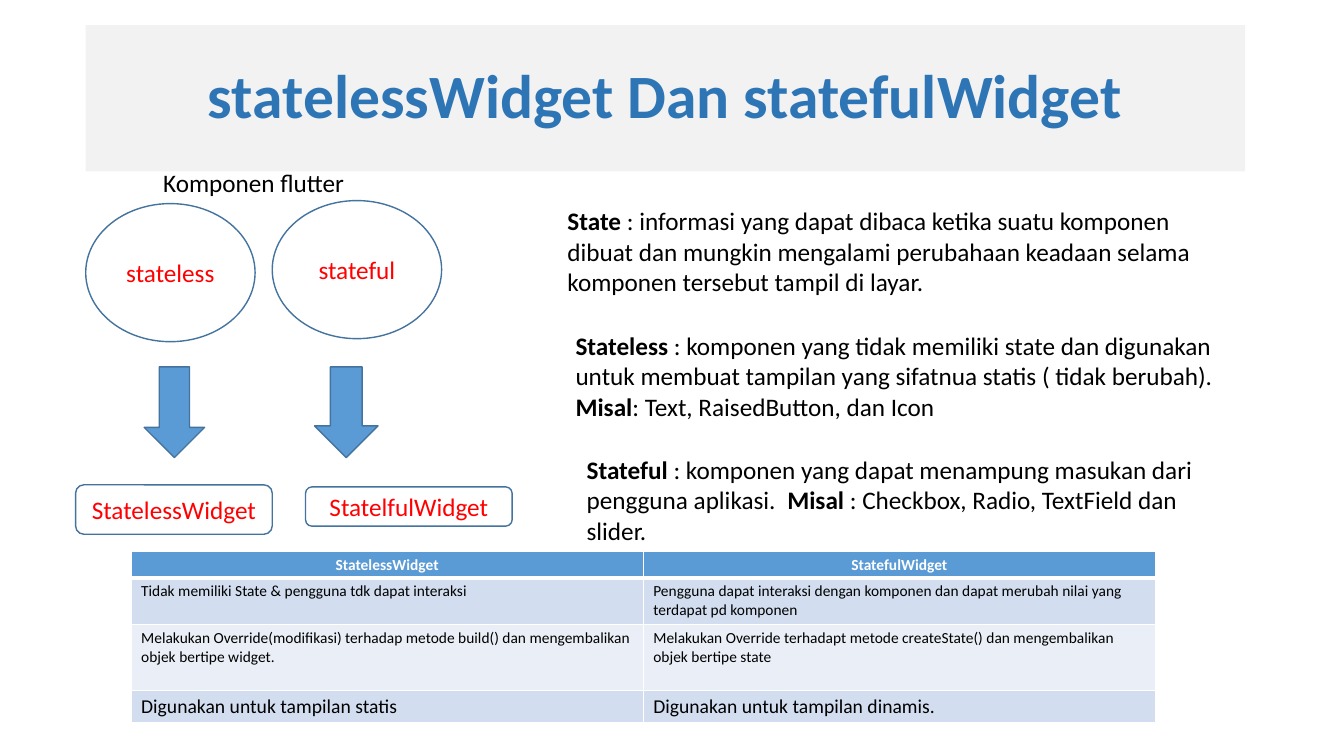
from pptx import Presentation
from pptx.dml.color import RGBColor
from pptx.enum.shapes import MSO_SHAPE
from pptx.enum.text import MSO_ANCHOR, MSO_AUTO_SIZE, PP_ALIGN
from pptx.oxml import parse_xml
from pptx.oxml.ns import nsdecls
from pptx.util import Inches, Pt

BLUE, EDGE, RED, BLACK, WHITE = "5B9BD5", "43739E", "FF0000", "000000", "FFFFFF"
BANDS = [BLUE, "D2DEEF", "EAEFF7", "D2DEEF"]
SIZES = [11, 11, 11, 14]
ROWS = [0.26, 0.46, 0.66, 0.32]

NODES = [
    (MSO_SHAPE.OVAL, (2.7, 1.99, 1.68, 1.37), "stateful"),
    (MSO_SHAPE.OVAL, (0.85, 2.02, 1.68, 1.37), "stateless"),
    (MSO_SHAPE.ROUNDED_RECTANGLE, (0.75, 4.81, 1.95, 0.49), "StatelessWidget"),
    (MSO_SHAPE.ROUNDED_RECTANGLE, (3.03, 4.83, 2.05, 0.39), "StatelfulWidget"),
]
ARROWS = [(1.43, 3.64, 0.6, 0.9), (3.12, 3.64, 0.63, 0.9)]
NOTES = [
    ((5.53, 1.99, 6.82, 1.01), [
        "State",
        " : informasi yang dapat dibaca ketika suatu komponen dibuat dan mungkin "
        "mengalami perubahaan keadaan selama komponen tersebut tampil di layar."]),
    ((5.61, 3.23, 7.08, 1.01), [
        "Stateless",
        " : komponen yang tidak memiliki state dan digunakan untuk membuat "
        "tampilan yang sifatnua statis ( tidak berubah). ",
        "Misal", ": Text, RaisedButton, dan Icon"]),
    ((5.72, 4.46, 6.26, 1.01), [
        "Stateful",
        " : komponen yang dapat menampung masukan dari pengguna aplikasi.  ",
        "Misal ", ": Checkbox, Radio, TextField dan slider."]),
]
CELLS = [
    ("StatelessWidget", "StatefulWidget"),
    ("Tidak memiliki State & pengguna tdk dapat interaksi",
     "Pengguna dapat interaksi dengan komponen dan dapat merubah nilai yang "
     "terdapat pd komponen"),
    ("Melakukan Override(modifikasi) terhadap metode build() dan mengembalikan "
     "objek bertipe widget.",
     "Melakukan Override terhadapt metode createState() dan mengembalikan "
     "objek bertipe state"),
    ("Digunakan untuk tampilan statis", "Digunakan untuk tampilan dinamis."),
]


def color(code):
    """Turn a hex string into a colour."""
    return RGBColor.from_string(code)


def apply(item, form):
    """Set each attribute named in a dict of format values."""
    for key, value in form.items():
        setattr(item, key, value)


def paint(fill, code):
    """Fill with a solid colour, or leave clear if there is none."""
    if code:
        fill.solid()
        fill.fore_color.rgb = color(code)
    else:
        fill.background()


def write(para, text, size=18, code=BLACK, bold=False):
    """Add one run of text to a paragraph."""
    run = para.add_run()
    run.text = text
    apply(run.font, {"name": "Calibri", "size": Pt(size), "bold": bold})
    run.font.color.rgb = color(code)


def add_form(slide, kind, place, fill=None, line=None):
    """Add a preset shape and return it."""
    shape = slide.shapes.add_shape(kind, *map(Inches, place))
    shape.shadow.inherit = False
    paint(shape.fill, fill)
    paint(shape.line.fill, line)
    if line:
        shape.line.width = Pt(1)
    return shape


def add_label(shape, text, **form):
    """Centre a line of text in a shape and return its paragraph."""
    apply(shape.text_frame, {"word_wrap": True, "vertical_anchor": MSO_ANCHOR.MIDDLE})
    para = shape.text_frame.paragraphs[0]
    para.alignment = PP_ALIGN.CENTER
    write(para, text, **form)
    return para


def add_note(slide, place, parts, wrap=True, lead=True):
    """Add a text box whose parts alternate between bold and plain."""
    frame = slide.shapes.add_textbox(*map(Inches, place)).text_frame
    apply(frame, {"word_wrap": wrap, "auto_size": MSO_AUTO_SIZE.SHAPE_TO_FIT_TEXT})
    for i, part in enumerate(parts):
        write(frame.paragraphs[0], part, bold=lead and i % 2 == 0)


def add_edges(cell, head):
    """Draw white cell borders, thick below the header."""
    props = cell._tc.get_or_add_tcPr()
    for side in "LRTB":
        width = Pt(3 if head and side == "B" else 1)
        props.append(parse_xml(
            f'<a:ln{side} {nsdecls("a")} w="{width}"><a:solidFill>'
            f'<a:srgbClr val="{WHITE}"/></a:solidFill></a:ln{side}>'))


def add_grid(slide):
    """Add the table that compares both widgets."""
    place = map(Inches, (1.3, 5.47, 10.16, sum(ROWS)))
    table = slide.shapes.add_table(len(CELLS), 2, *place).table
    for r, texts in enumerate(CELLS):
        table.rows[r].height = Inches(ROWS[r])
        head = r == 0
        for c, text in enumerate(texts):
            cell = table.cell(r, c)
            apply(cell, {"margin_top": Inches(0.04), "margin_bottom": Inches(0.04)})
            add_edges(cell, head)
            paint(cell.fill, BANDS[r])
            para = cell.text_frame.paragraphs[0]
            para.alignment = PP_ALIGN.CENTER if head else PP_ALIGN.LEFT
            write(para, text, SIZES[r], WHITE if head else BLACK, head)


def main():
    """Build the slide and save it."""
    deck = Presentation()
    apply(deck, {"slide_width": Inches(13.33), "slide_height": Inches(7.5)})
    slide = deck.slides.add_slide(deck.slide_layouts[6])
    title = add_form(slide, MSO_SHAPE.RECTANGLE, (0.85, 0.25, 11.5, 1.45), "F2F2F2")
    para = add_label(title, "statelessWidget Dan statefulWidget",
                     size=44, code="2E75B6", bold=True)
    para.line_spacing = 0.9
    for kind, place, text in NODES:
        add_label(add_form(slide, kind, place, line=EDGE), text, code=RED)
    add_note(slide, (1.52, 1.61, 2.02, 0.4), ["Komponen flutter"], wrap=False, lead=False)
    for place in ARROWS:
        add_form(slide, MSO_SHAPE.DOWN_ARROW, place, BLUE, EDGE)
    for place, parts in NOTES:
        add_note(slide, place, parts)
    add_grid(slide)
    deck.save("out.pptx")


if __name__ == "__main__":
    main()
